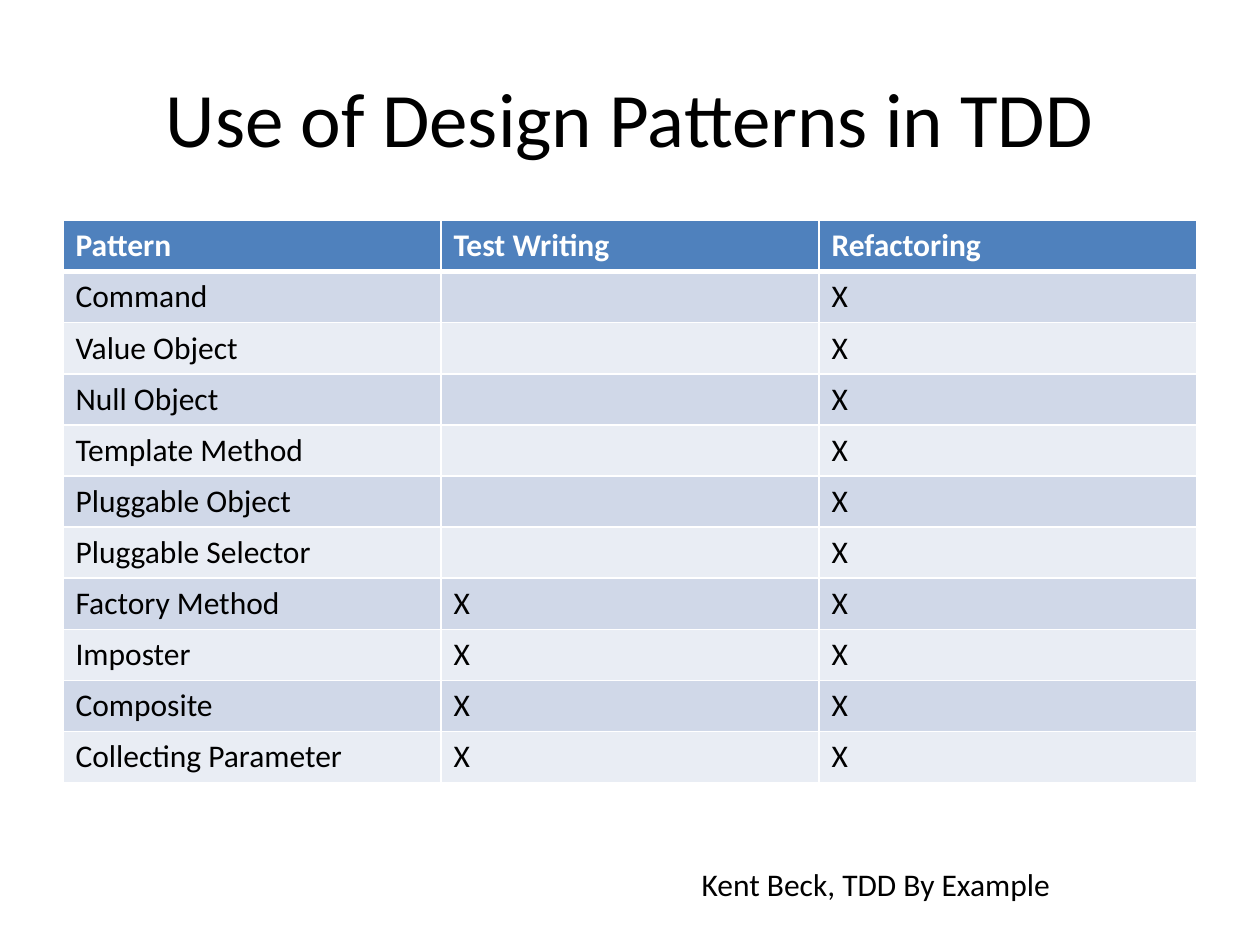
from dataclasses import dataclass

from lxml.etree import SubElement
from pptx import Presentation
from pptx.dml.color import RGBColor
from pptx.enum.text import MSO_ANCHOR, MSO_AUTO_SIZE, PP_ALIGN
from pptx.oxml.ns import qn
from pptx.util import Inches, Pt


@dataclass(frozen=True)
class Theme:
    font: str = "Calibri"
    title_size: int = 44
    body_size: int = 18
    text: str = "000000"
    header_text: str = "FFFFFF"
    header_fill: str = "4F81BD"
    bands: tuple = ("D0D8E8", "E9EDF4")
    border: str = "FFFFFF"
    border_width: float = 1
    header_rule: float = 3


THEME = Theme()
TITLE_ONLY = 5

HEADERS = ("Pattern", "Test Writing", "Refactoring")
REFACTORING_ONLY = ("Command", "Value Object", "Null Object", "Template Method",
                    "Pluggable Object", "Pluggable Selector")
BOTH_USES = ("Factory Method", "Imposter", "Composite", "Collecting Parameter")


def add_span(para, text, size=THEME.body_size, color=THEME.text, bold=False):
    span = para.add_run()
    span.text = text
    span.font.name = THEME.font
    span.font.size = Pt(size)
    span.font.bold = bold
    span.font.color.rgb = RGBColor.from_string(color)


def set_borders(cell, top, bottom):
    widths = {"a:lnL": THEME.border_width, "a:lnR": THEME.border_width,
              "a:lnT": top, "a:lnB": bottom}
    properties = cell._tc.get_or_add_tcPr()
    for tag, width in widths.items():
        line = SubElement(properties, qn(tag), w=str(Pt(width)))
        fill = SubElement(line, qn("a:solidFill"))
        SubElement(fill, qn("a:srgbClr"), val=THEME.border)


def fill_title(slide, text):
    title = slide.shapes.title
    title.left, title.top = Inches(0.5), Inches(0.3)
    title.width, title.height = Inches(9), Inches(1.25)
    title.text_frame.vertical_anchor = MSO_ANCHOR.MIDDLE
    para = title.text_frame.paragraphs[0]
    para.alignment = PP_ALIGN.CENTER
    add_span(para, text, THEME.title_size)


def fill_cell(cell, text, row):
    is_header = row == 0
    # The thick rule is shared by the header and the first body row
    top = THEME.header_rule if row == 1 else THEME.border_width
    bottom = THEME.header_rule if is_header else THEME.border_width
    set_borders(cell, top, bottom)
    fill = THEME.header_fill if is_header else THEME.bands[(row - 1) % 2]
    cell.fill.solid()
    cell.fill.fore_color.rgb = RGBColor.from_string(fill)
    para = cell.text_frame.paragraphs[0]
    para.font.size = Pt(THEME.body_size)
    if text:
        color = THEME.header_text if is_header else THEME.text
        add_span(para, text, color=color, bold=is_header)


def add_pattern_table(slide, rows):
    frame = slide.shapes.add_table(len(rows), len(HEADERS), Inches(0.5),
                                   Inches(1.75), Inches(9), Inches(4.46))
    for row, values in enumerate(rows):
        for column, text in enumerate(values):
            fill_cell(frame.table.cell(row, column), text, row)


def add_citation(slide, text):
    box = slide.shapes.add_textbox(Inches(5.47), Inches(6.82),
                                   Inches(3.46), Inches(0.4))
    box.text_frame.word_wrap = True
    box.text_frame.auto_size = MSO_AUTO_SIZE.SHAPE_TO_FIT_TEXT
    add_span(box.text_frame.paragraphs[0], text)


def main():
    deck = Presentation()
    deck.slide_width, deck.slide_height = Inches(10), Inches(7.5)
    slide = deck.slides.add_slide(deck.slide_layouts[TITLE_ONLY])

    # Title
    fill_title(slide, "Use of Design Patterns in TDD")

    # Where each pattern is used
    rows = [HEADERS]
    rows += [(pattern, "", "X") for pattern in REFACTORING_ONLY]
    rows += [(pattern, "X", "X") for pattern in BOTH_USES]
    add_pattern_table(slide, rows)

    # Source of the table
    add_citation(slide, "Kent Beck, TDD By Example")

    deck.save("out.pptx")


if __name__ == "__main__":
    main()
